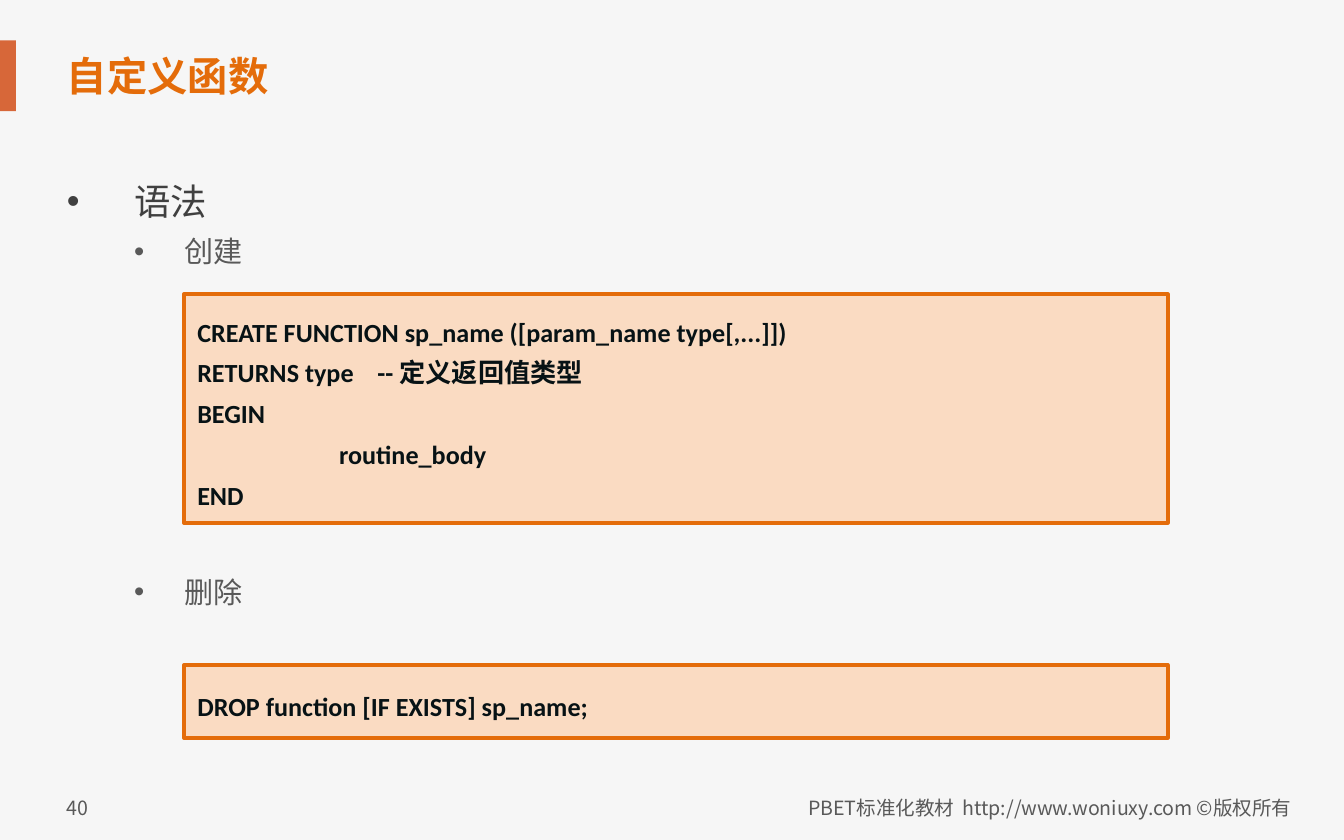
from pptx import Presentation
from pptx.dml.color import RGBColor
from pptx.enum.shapes import MSO_SHAPE as Shape
from pptx.enum.text import MSO_ANCHOR as Anchor, PP_ALIGN as Align
from pptx.oxml.ns import qn
from pptx.util import Pt
from lxml.etree import SubElement

BACKGROUND = RGBColor(0xF6, 0xF6, 0xF6)
ACCENT = RGBColor(0xD7, 0x67, 0x39)
ORANGE = RGBColor(0xE4, 0x6C, 0x0A)
PEACH = RGBColor(0xFC, 0xD5, 0xB5)
CODE_INK = RGBColor(0x07, 0x12, 0x15)
DARK_GREY = RGBColor(0x40, 0x40, 0x40)
GREY = RGBColor(0x59, 0x59, 0x59)

SANS = "Noto Sans CJK SC"
CODE_FONT = "Calibri"

CREATE_CODE = [
    ["CREATE FUNCTION sp_name ([param_name type[,...]])",
     "RETURNS type    -- 定义返回值类型"],
    ["BEGIN", " " * 24 + "routine_body"],
    ["END"],
]
DROP_CODE = [["DROP function [IF EXISTS] sp_name;"]]

# text, level, space before in points
OUTLINE = [("语法", 0, 0), ("创建", 1, 6), ("删除", 1, 163.8)]
# size, colour, left margin, hanging indent for each level
LEVELS = [(19.5, DARK_GREY, 36, 36), (15.6, GREY, 63, 27)]


def add_run(paragraph, text, size, color, font=SANS, bold=False):
    run = paragraph.add_run()
    run.text = text
    run.font.size = Pt(size)
    run.font.name = font
    run.font.bold = bold
    run.font.color.rgb = color
    # East Asian characters
    SubElement(run.font._element, qn("a:ea"), typeface=SANS)


def add_text_box(slide, box, wrap=True, anchor=Anchor.TOP):
    frame = slide.shapes.add_textbox(*map(Pt, box)).text_frame
    frame.word_wrap = wrap
    frame.vertical_anchor = anchor
    return frame


def add_rectangle(slide, box, color):
    shape = slide.shapes.add_shape(Shape.RECTANGLE, *map(Pt, box))
    shape.shadow.inherit = False
    shape.fill.solid()
    shape.fill.fore_color.rgb = color
    shape.line.fill.background()
    return shape


def add_header(slide, box, text):
    left, top, width, height = box
    # Accent bar at the slide edge
    add_rectangle(slide, (0, top, 8.6, height), ACCENT)
    # Title
    frame = add_text_box(slide, (left, top, width, height), anchor=Anchor.MIDDLE)
    add_run(frame.paragraphs[0], text, 21.6, ORANGE, bold=True)


def add_outline(slide, box):
    frame = add_text_box(slide, box)
    for index, (text, level, space_before) in enumerate(OUTLINE):
        paragraph = frame.add_paragraph() if index else frame.paragraphs[0]
        size, color, margin, hanging = LEVELS[level]
        properties = paragraph._p.get_or_add_pPr()
        properties.set("marL", str(Pt(margin)))
        properties.set("indent", str(-Pt(hanging)))
        SubElement(properties, qn("a:buFont"), typeface="Arial")
        SubElement(properties, qn("a:buChar"), char="•")
        paragraph.level = level
        paragraph.space_before = Pt(space_before)
        paragraph.space_after = Pt(0)
        add_run(paragraph, text, size, color)


def add_code_panel(slide, box, blocks):
    panel = add_rectangle(slide, box, PEACH)
    panel.line.color.rgb = ORANGE
    panel.line.width = Pt(2.25)
    # Fill at 80 % opacity
    fill_color = panel._element.spPr.find(qn("a:solidFill"))[0]
    SubElement(fill_color, qn("a:alpha"), val="80000")

    frame = panel.text_frame
    frame.word_wrap = True
    frame.vertical_anchor = Anchor.MIDDLE
    for index, lines in enumerate(blocks):
        paragraph = frame.add_paragraph() if index else frame.paragraphs[0]
        paragraph.alignment = Align.LEFT
        paragraph.line_spacing = 1.3
        for number, line in enumerate(lines):
            if number:
                paragraph.add_line_break()
            add_run(paragraph, line, 14, CODE_INK, CODE_FONT, bold=True)


def add_footer(slide, box, page, notice):
    left, top, width, height = box
    # Page number
    frame = add_text_box(slide, (left, top, 28.8, height), wrap=False)
    add_run(frame.paragraphs[0], page, 10.5, GREY)
    # Copyright notice
    notice_width = 342
    notice_box = (left + width - notice_width, top, notice_width, height)
    paragraph = add_text_box(slide, notice_box).paragraphs[0]
    paragraph.alignment = Align.RIGHT
    add_run(paragraph, notice, 10.5, GREY)


def main():
    presentation = Presentation()
    presentation.slide_width = Pt(720)
    presentation.slide_height = Pt(450)
    slide = presentation.slides.add_slide(presentation.slide_layouts[6])
    slide.background.fill.solid()
    slide.background.fill.fore_color.rgb = BACKGROUND

    add_header(slide, (28.8, 21.6, 505, 38), "自定义函数")
    add_outline(slide, (28.8, 92.2, 638, 330))
    add_code_panel(slide, (98.6, 157.7, 527, 122.4), CREATE_CODE)
    add_code_panel(slide, (98.6, 356.4, 527, 38.9), DROP_CODE)
    add_footer(slide, (28.8, 422.6, 670, 20.2), "40",
               "PBET标准化教材  http://www.woniuxy.com ©版权所有")
    presentation.save("out.pptx")


if __name__ == "__main__":
    main()
